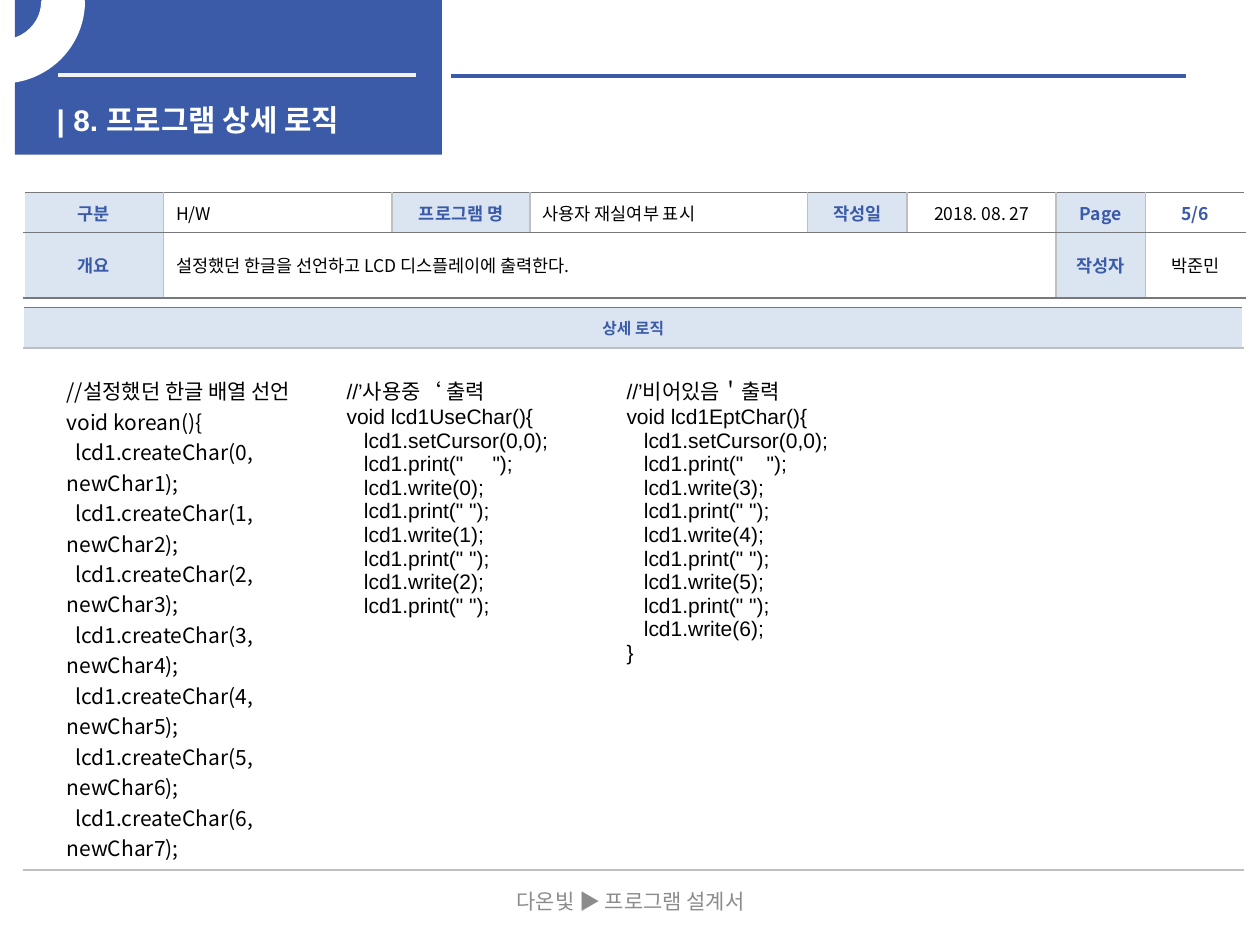
from lxml import etree
from pptx import Presentation
from pptx.dml.color import RGBColor
from pptx.enum.shapes import MSO_CONNECTOR, MSO_SHAPE
from pptx.enum.text import MSO_ANCHOR, PP_ALIGN
from pptx.oxml.ns import qn
from pptx.util import Cm, Pt

LEFT, MID = PP_ALIGN.LEFT, PP_ALIGN.CENTER
TOP, CENTRE = MSO_ANCHOR.TOP, MSO_ANCHOR.MIDDLE
RECT, ARC = MSO_SHAPE.RECTANGLE, MSO_SHAPE.BLOCK_ARC
LINE = MSO_CONNECTOR.STRAIGHT

BLUE = RGBColor(0x3B, 0x5A, 0xA8)
PALE = RGBColor(0xB9, 0xCD, 0xE5)
WHITE = RGBColor(0xFF, 0xFF, 0xFF)
SNOW = RGBColor(0xF2, 0xF2, 0xF2)
BLACK = RGBColor(0, 0, 0)
DARK = RGBColor(0x77, 0x78, 0x7B)
GREY = RGBColor(0xBF, 0xBF, 0xBF)
FOOT = RGBColor(0x8C, 0x8C, 0x8C)

SANS, ARIAL = "Noto Sans CJK KR", "Arial"
LABEL = {"size": Pt(10), "name": SANS, "bold": True, "color": BLUE}
VALUE = {**LABEL, "bold": False, "color": BLACK}
HEAD = {**LABEL, "size": Pt(9)}
TITLE = {"size": Pt(17), "name": ARIAL, "bold": True, "color": WHITE}
NOTE = {"size": Pt(12), "name": SANS, "bold": False, "color": FOOT}
CODE = {**NOTE, "color": BLACK}


def style(run, form):
    for key, val in form.items():
        if key == "color":
            run.font.color.rgb = val
        else:
            setattr(run.font, key, val)
    east = etree.SubElement(run.font._element, qn("a:ea"))
    east.set("typeface", SANS)


def write(frame, lines, form, align=LEFT, indent=0):
    """Fill a text frame; lines that start with a tab get the indent."""
    for i, line in enumerate(lines):
        para = frame.paragraphs[0] if i == 0 else frame.add_paragraph()
        para.alignment = align
        if line.startswith("\t"):
            para._p.get_or_add_pPr().set("indent", str(Cm(indent)))
        run = para.add_run()
        run.text = line.lstrip("\t")
        style(run, form)


def paint(cell, color=None):
    if color is None:
        cell.fill.background()
        return
    cell.fill.solid()
    cell.fill.fore_color.rgb = color
    tone = cell._tc.tcPr.find(".//" + qn("a:srgbClr"))
    etree.SubElement(tone, qn("a:alpha")).set("val", "50000")


def edge(cell, *colors):
    """Set the left, right, top and bottom borders; None hides one."""
    for i, (side, color) in enumerate(zip("LRTB", colors)):
        line = etree.Element(qn("a:ln" + side), w=str(Pt(1)))
        if color is None:
            etree.SubElement(line, qn("a:noFill"))
        else:
            fill = etree.SubElement(line, qn("a:solidFill"))
            etree.SubElement(fill, qn("a:srgbClr")).set("val", str(color))
        cell._tc.get_or_add_tcPr().insert(i, line)


def grid(slide, x, y, cols, rows):
    table = slide.shapes.add_table(
        len(rows), len(cols), Cm(x), Cm(y), Cm(sum(cols)), Cm(sum(rows))).table
    table.first_row = table.horz_banding = False
    for col, size in zip(table.columns, cols):
        col.width = Cm(size)
    for row, size in zip(table.rows, rows):
        row.height = Cm(size)
    return table


def block(slide, kind, x, y, w, h, color):
    shape = slide.shapes.add_shape(kind, Cm(x), Cm(y), Cm(w), Cm(h))
    shape.shadow.inherit = False
    shape.fill.solid()
    shape.fill.fore_color.rgb = color
    shape.line.fill.background()
    return shape


def rule(slide, x, y, w, color):
    line = slide.shapes.add_connector(LINE, Cm(x), Cm(y), Cm(x + w), Cm(y))
    line.line.color.rgb = color
    line.line.width = Pt(2.25)
    etree.SubElement(line._element.spPr, qn("a:effectLst"))


def banner(slide, x, y, w, h):
    block(slide, RECT, x, y, w, h, BLUE)
    rule(slide, x + 0.87, y + 1.51, 7.21, SNOW)
    rule(slide, x + w + 0.18, y + 1.53, 14.81, BLUE)

    # Title, brought in front of the blue block
    title = slide.shapes.title
    title.left, title.top = Cm(x + 0.59), Cm(y + 1.93)
    title.width, title.height = Cm(7.8), Cm(0.81)
    title.text_frame.vertical_anchor = TOP
    write(title.text_frame, ["| 8. 프로그램 상세 로직"], TITLE)
    slide.shapes._spTree.append(title._element)

    # Corner ring
    ring = block(slide, ARC, x - 1.9, y - 1.6, 3.28, 3.25, WHITE)
    ring.line.color.rgb = WHITE
    ring.line.width = Pt(2)
    for i, val in enumerate((161.59, 0, 0.25)):
        ring.adjustments[i] = val
    ring._element.spPr.find(qn("a:xfrm")).set("flipV", "1")


def info(slide, x, y):
    cols = (2.82, 4.6, 2.79, 5.59, 2.01, 3, 1.8, 2.01)
    rows = (("구분", "H/W", "프로그램 명", "사용자 재실여부 표시", "작성일",
             "2018. 08. 27", "Page", "5/6"),
            ("개요", "설정했던 한글을 선언하고 LCD 디스플레이에 출력한다.",
             "", "", "", "", "작성자", "박준민"))
    table = grid(slide, x, y, cols, (0.81, 1.32))
    table.cell(1, 1).merge(table.cell(1, 5))
    last = len(cols) - 1
    for r, row in enumerate(rows):
        for c, text in enumerate(row):
            cell = table.cell(r, c)
            label = c % 2 == 0 and text != ""
            paint(cell, PALE if label else None)
            edge(cell, GREY if c else WHITE, WHITE if c == last else GREY,
                 DARK, DARK)
            cell.vertical_anchor = CENTRE
            if text:
                form = LABEL if label or text == "5/6" else VALUE
                align = MID if label or c >= 5 else LEFT
                write(cell.text_frame, [text], form, align)


def detail(slide, x, y, w):
    table = grid(slide, x, y, (w,), (0.82, 10.52))
    head, body = table.cell(0, 0), table.cell(1, 0)
    paint(head, PALE)
    paint(body)
    edge(head, WHITE, WHITE, DARK, GREY)
    edge(body, WHITE, WHITE, GREY, GREY)
    head.vertical_anchor = CENTRE
    write(head.text_frame, ["상세 로직"], HEAD, MID)


def show(note, name, gap, first):
    """Opening lines of a function that writes three characters."""
    lines = [note, f"void {name}(){{", "\tlcd1.setCursor(0,0);",
             f'\tlcd1.print("{gap}");']
    for i in range(first, first + 3):
        lines += [f"\tlcd1.write({i});", '\tlcd1.print(" ");']
    return lines


def code(slide, x, y, w):
    make = ["//설정했던 한글 배열 선언", "void korean(){"]
    make += [f"\tlcd1.createChar({i}, newChar{i + 1});" for i in range(7)]
    used = show("//’사용중‘ 출력", "lcd1UseChar", " " * 5, 0)
    free = show("//’비어있음＇출력", "lcd1EptChar", " " * 4, 3)
    free += ["\tlcd1.write(6);", "}"]
    parts = ((make, SANS, 0.18), (used, ARIAL, 0.35), (free, ARIAL, 0.35))
    table = grid(slide, x, y, [w / 3] * 3, (8.89,))
    for c, (lines, font, indent) in enumerate(parts):
        cell = table.cell(0, c)
        paint(cell)
        edge(cell, None, None, None, None)
        write(cell.text_frame, lines, {**CODE, "name": font}, LEFT, indent)


def footer(slide, x, y, w, h):
    box = slide.shapes.add_textbox(Cm(x), Cm(y), Cm(w), Cm(h))
    box.text_frame.word_wrap = True
    box.text_frame.vertical_anchor = CENTRE
    write(box.text_frame, ["다온빛 ▶ 프로그램 설계서"], NOTE, MID)


def main():
    deck = Presentation()
    deck.slide_width, deck.slide_height = Cm(25.4), Cm(19.05)
    slide = deck.slides.add_slide(deck.slide_layouts[5])
    detail(slide, 0.47, 6.2, 24.59)
    banner(slide, 0.3, 0, 8.61, 3.12)
    info(slide, 0.48, 3.88)
    footer(slide, 8.69, 17.65, 8.05, 1.02)
    code(slide, 1.09, 7.44, 16.93)
    deck.save("out.pptx")


if __name__ == "__main__":
    main()
